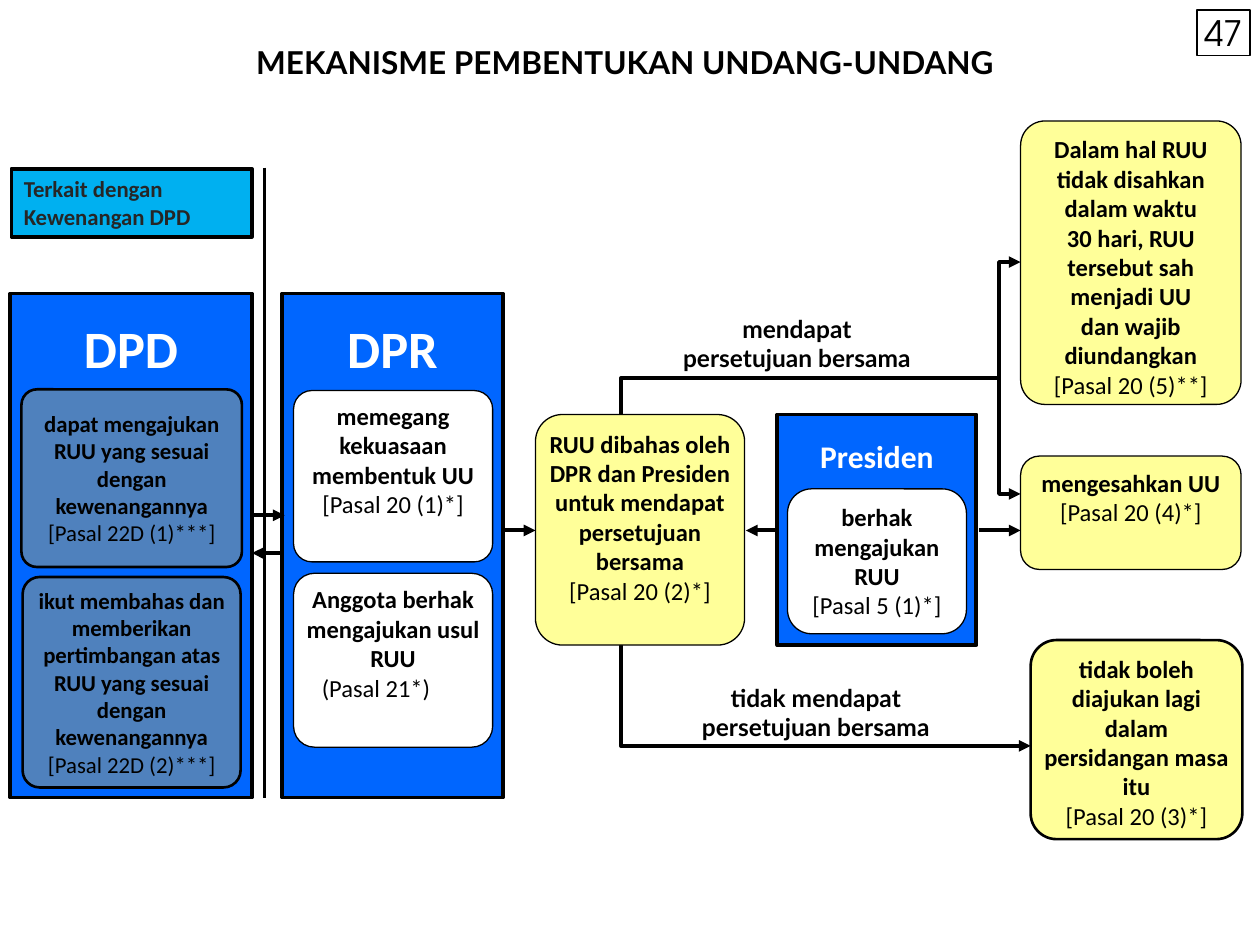
from dataclasses import dataclass

import pptx
import pptx.dml.color
import pptx.enum.shapes
import pptx.enum.text
import pptx.oxml.ns
import pptx.oxml.xmlchemy
import pptx.util

Inches = pptx.util.Inches
Shapes = pptx.enum.shapes.MSO_SHAPE
Align = pptx.enum.text.PP_ALIGN
Anchor = pptx.enum.text.MSO_ANCHOR
AutoSize = pptx.enum.text.MSO_AUTO_SIZE

COLORS = {
    "black": "000000", "white": "FFFFFF", "blue": "0066FF", "steel": "4F81BD",
    "cyan": "00B0F0", "yellow": "FFFF00", "cream": "FFFF99", "charcoal": "262626",
}
DEFAULT_INSETS = (0.1, 0.05, 0.1, 0.05)
HEADING_INSETS = (0.1, 0.18, 0.1, 0.05)
NARROW_INSETS = (0.02, 0.05, 0.02, 0.05)
EVEN_INSETS = (0.04, 0.04, 0.04, 0.04)
NO_INSETS = (0, 0, 0, 0)

Point = tuple[float, float]


@dataclass
class TextStyle:
    size: float = 14
    name: str = "Calibri"
    color: str = "black"
    bold: bool = True
    align: Align = Align.CENTER
    anchor: Anchor = Anchor.TOP
    insets: tuple = NARROW_INSETS
    wrap: bool = True
    auto_size: AutoSize = AutoSize.NONE


@dataclass
class Box:
    at: tuple[float, float, float, float]
    lines: list[str]
    style: TextStyle
    article: str = ""
    fill: str | None = None
    line: float = 0.75
    corner: float | None = None
    opacity: int = 100
    article_shift: float = 0


@dataclass
class Route:
    points: list[Point]
    arrow: bool = True
    width: float = 2.25


YELLOW_TEXT = TextStyle()
WHITE_TEXT = TextStyle(insets=EVEN_INSETS)
DPD_TEXT = TextStyle(13, anchor=Anchor.MIDDLE, insets=EVEN_INSETS)
HEADING = TextStyle(30, color="white", insets=HEADING_INSETS)
SMALL_HEADING = TextStyle(18, color="white", insets=HEADING_INSETS)
TITLE = TextStyle(18, "Lato", insets=DEFAULT_INSETS)
LABEL = TextStyle(14, "Lato", insets=NO_INSETS, wrap=False,
                  auto_size=AutoSize.SHAPE_TO_FIT_TEXT)
NUMBER = TextStyle(20, "TeX Gyre Adventor", bold=False, anchor=Anchor.MIDDLE,
                   insets=NO_INSETS)
SCOPE = TextStyle(13, color="charcoal", align=Align.LEFT, insets=DEFAULT_INSETS,
                  auto_size=AutoSize.SHAPE_TO_FIT_TEXT)

PANELS = [
    Box((0.08, 2.33, 1.92, 4), ["DPD"], HEADING, fill="blue", line=2.25),
    Box((2.24, 2.33, 1.75, 4), ["DPR"], HEADING, fill="blue", line=2.25),
    Box((6.17, 3.29, 1.58, 1.83), ["Presiden"], SMALL_HEADING, fill="blue", line=2.25),
]
CARDS = [
    Box((0.17, 3.09, 1.75, 1.41),
        ["dapat mengajukan RUU yang sesuai dengan kewenangannya"],
        DPD_TEXT, "[Pasal 22D (1)***]", "steel", 1.5, 0.087),
    Box((0.18, 4.58, 1.73, 1.67),
        ["ikut membahas dan memberikan pertimbangan atas RUU yang sesuai dengan "
         "kewenangannya"],
        DPD_TEXT, "[Pasal 22D (2)***]", "steel", 1.5, 0.081),
    Box((2.33, 3.1, 1.58, 1.36), ["memegang kekuasaan membentuk UU"],
        WHITE_TEXT, "[Pasal 20 (1)*]", "white", corner=0.107),
    Box((2.33, 4.55, 1.58, 1.38), ["Anggota berhak mengajukan usul RUU"],
        WHITE_TEXT, "(Pasal 21*)", "white", corner=0.12, article_shift=0.27),
    Box((4.25, 3.29, 1.66, 1.83),
        ["RUU dibahas oleh DPR dan Presiden untuk mendapat persetujuan bersama"],
        YELLOW_TEXT, "[Pasal 20 (2)*]", "cream", corner=0.129),
    Box((6.25, 3.88, 1.42, 1.15), ["berhak mengajukan RUU"],
        YELLOW_TEXT, "[Pasal 5 (1)*]", "white", corner=0.167),
    Box((8.1, 0.96, 1.75, 2.25),
        ["Dalam hal RUU tidak disahkan dalam waktu",
         "30 hari, RUU tersebut sah menjadi UU", "dan wajib diundangkan"],
        YELLOW_TEXT, "[Pasal 20 (5)**]", "yellow", corner=0.111, opacity=40),
    Box((8.1, 3.62, 1.75, 0.9), ["mengesahkan UU"],
        YELLOW_TEXT, "[Pasal 20 (4)*]", "yellow", corner=0.167, opacity=40),
    Box((8.18, 5.08, 1.68, 1.58),
        ["tidak boleh diajukan lagi dalam persidangan masa itu"],
        YELLOW_TEXT, "[Pasal 20 (3)*]", "yellow", 1.5, 0.13, 40),
]
FRAMES = [
    Box((0.09, 1.34, 1.91, 0.54), ["Terkait dengan Kewenangan DPD"], SCOPE,
        fill="cyan", line=2),
    Box((9.5, 0.08, 0.42, 0.36), ["47"], NUMBER),
]
TEXTS = [
    Box((0, 0.29, 9.92, 0.71), ["MEKANISME PEMBENTUKAN UNDANG-UNDANG"], TITLE),
    Box((5.28, 2.49, 2.09, 0.47), ["mendapat", "persetujuan bersama"], LABEL),
    Box((5.43, 5.42, 2.09, 0.47), ["tidak mendapat", "persetujuan bersama"], LABEL),
]
ELBOWS = [
    Route([(4.93, 5.08), (4.93, 5.92), (8.18, 5.92)]),
    Route([(7.93, 3), (4.93, 3), (4.93, 3.33)], arrow=False),
    Route([(7.93, 3), (7.93, 3.92), (8.1, 3.92)]),
    Route([(7.93, 3), (7.93, 2.08), (8.1, 2.08)]),
]
STRAIGHTS = [
    Route([(4, 4.21), (4.25, 4.21)]),
    Route([(6.17, 4.21), (5.92, 4.21)]),
    Route([(7.77, 4.21), (8.1, 4.21)]),
    Route([(1.99, 4.09), (2.26, 4.09)]),
    Route([(2.24, 4.39), (2, 4.39)]),
    Route([(2.1, 1.33), (2.1, 6.33)], arrow=False, width=2),
]


def rgb(name: str) -> pptx.dml.color.RGBColor:
    return pptx.dml.color.RGBColor.from_string(COLORS[name])


def write_text(shape, box: Box) -> None:
    """Write the main lines, then the lighter article reference."""
    style, frame = box.style, shape.text_frame
    frame_format = {"word_wrap": style.wrap, "auto_size": style.auto_size,
                    "vertical_anchor": style.anchor}
    for side, inset in zip(("left", "top", "right", "bottom"), style.insets):
        frame_format[f"margin_{side}"] = Inches(inset)
    for key, value in frame_format.items():
        setattr(frame, key, value)
    entries = [(line, style.bold) for line in box.lines]
    if box.article:
        entries.append((box.article, False))
    for index, (text, bold) in enumerate(entries):
        para = frame.add_paragraph() if index else frame.paragraphs[0]
        para.alignment = style.align
        span = para.add_run()
        span.text = text
        font_format = {"name": style.name, "size": pptx.util.Pt(style.size), "bold": bold}
        for key, value in font_format.items():
            setattr(span.font, key, value)
        span.font.color.rgb = rgb(style.color)
    if box.article_shift:
        para._p.get_or_add_pPr().set("marR", str(Inches(box.article_shift)))


def add_box(page, box: Box) -> None:
    kind = Shapes.ROUNDED_RECTANGLE if box.corner else Shapes.RECTANGLE
    shape = page.shapes.add_shape(kind, *map(Inches, box.at))
    shape.shadow.inherit = False
    if box.corner:
        shape.adjustments[0] = box.corner
    if box.fill:
        shape.fill.solid()
        shape.fill.fore_color.rgb = rgb(box.fill)
    else:
        shape.fill.background()
    if box.opacity < 100:
        color = shape._element.spPr.find(".//" + pptx.oxml.ns.qn("a:srgbClr"))
        alpha = pptx.oxml.xmlchemy.OxmlElement("a:alpha")
        alpha.set("val", str(box.opacity * 1000))
        color.append(alpha)
    shape.line.color.rgb = rgb("black")
    shape.line.width = pptx.util.Pt(box.line)
    write_text(shape, box)


def add_text(page, box: Box) -> None:
    write_text(page.shapes.add_textbox(*map(Inches, box.at)), box)


def style_route(shape, route: Route) -> None:
    shape.line.color.rgb = rgb("black")
    shape.line.width = pptx.util.Pt(route.width)
    if route.arrow:
        tail = pptx.oxml.xmlchemy.OxmlElement("a:tailEnd")
        tail.set("type", "triangle")
        shape.line._get_or_add_ln().append(tail)


def add_elbow(page, route: Route) -> None:
    start, *rest = [(Inches(x), Inches(y)) for x, y in route.points]
    builder = page.shapes.build_freeform(*start)
    builder.add_line_segments(rest, close=False)
    shape = builder.convert_to_shape()
    shape.fill.background()
    style_route(shape, route)
    shape.shadow.inherit = False


def add_straight(page, route: Route) -> None:
    ends = [Inches(value) for point in route.points for value in point]
    line = page.shapes.add_connector(pptx.enum.shapes.MSO_CONNECTOR.STRAIGHT, *ends)
    style_route(line, route)
    line._element.spPr.append(pptx.oxml.xmlchemy.OxmlElement("a:effectLst"))


def main() -> None:
    deck = pptx.Presentation()
    deck.slide_width, deck.slide_height = Inches(10), Inches(7.5)
    page = deck.slides.add_slide(deck.slide_layouts[6])
    for draw, items in ((add_elbow, ELBOWS), (add_box, PANELS + CARDS + FRAMES),
                        (add_straight, STRAIGHTS), (add_text, TEXTS)):
        for item in items:
            draw(page, item)
    deck.save("out.pptx")


if __name__ == "__main__":
    main()
